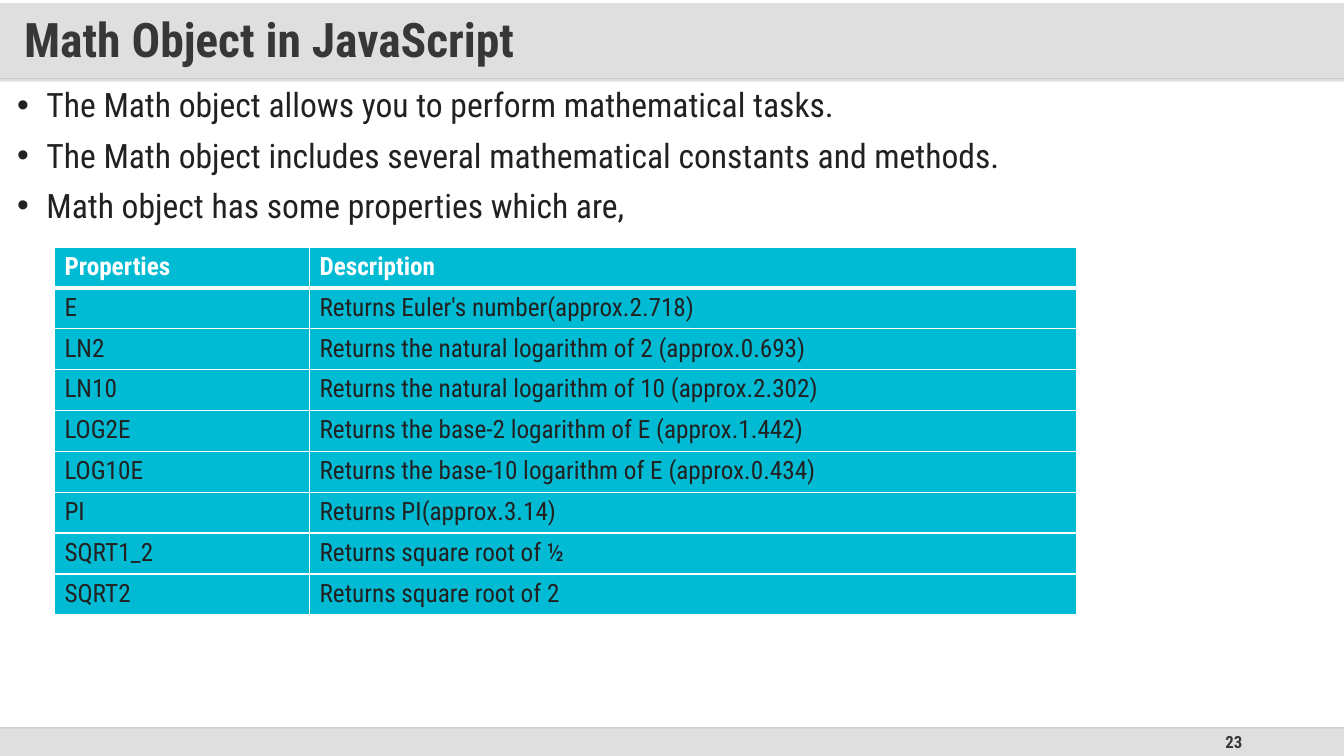
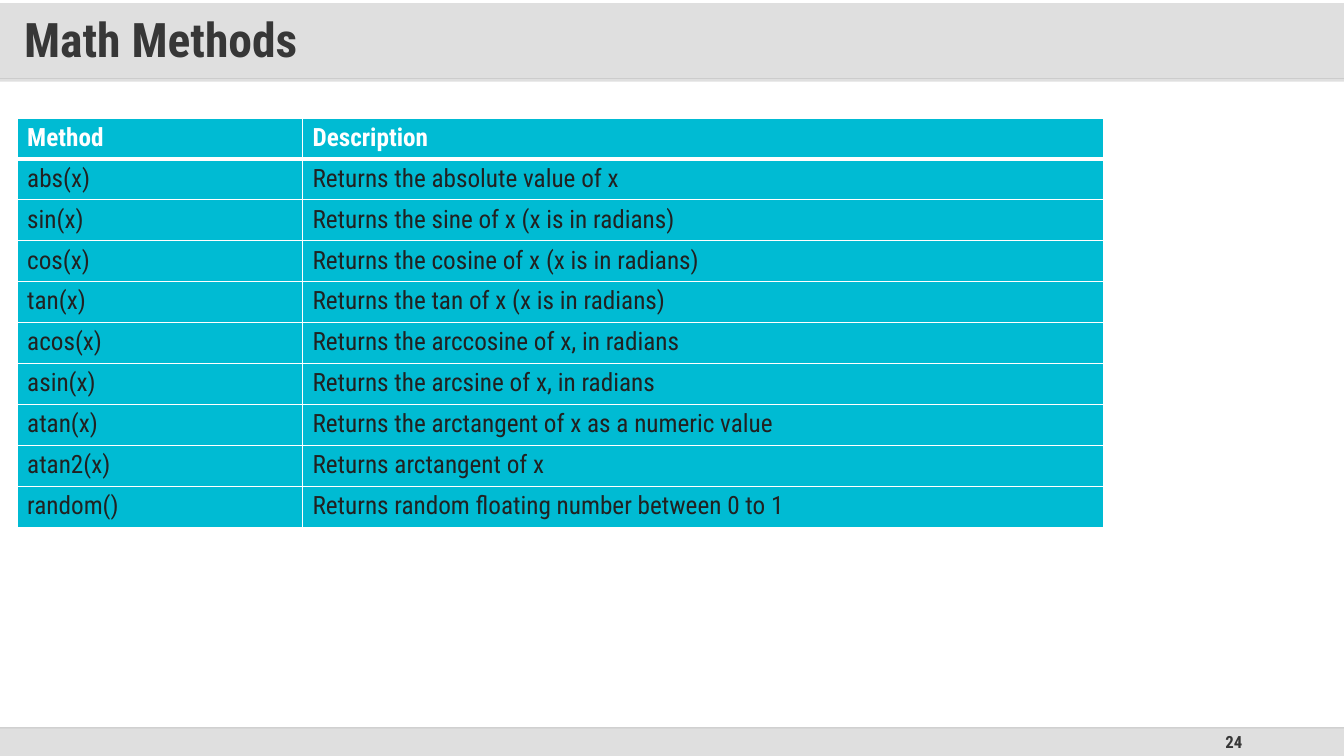
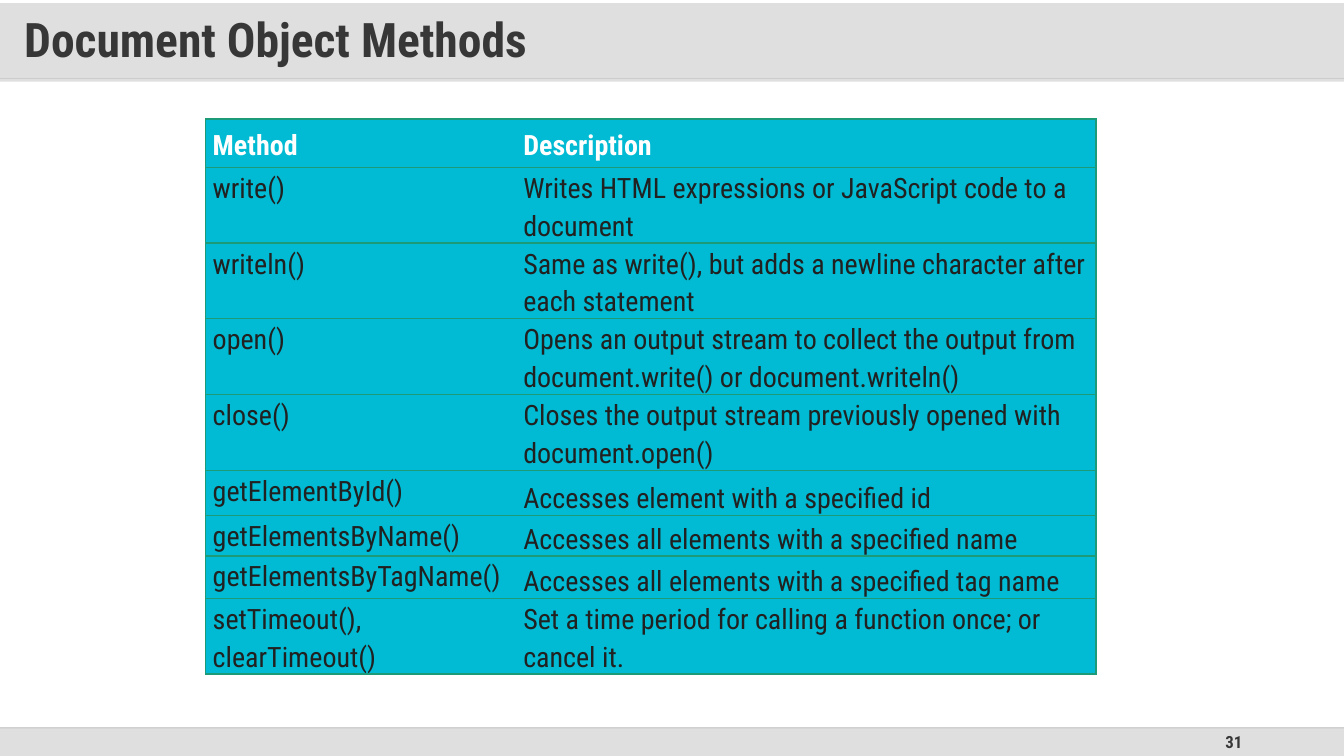
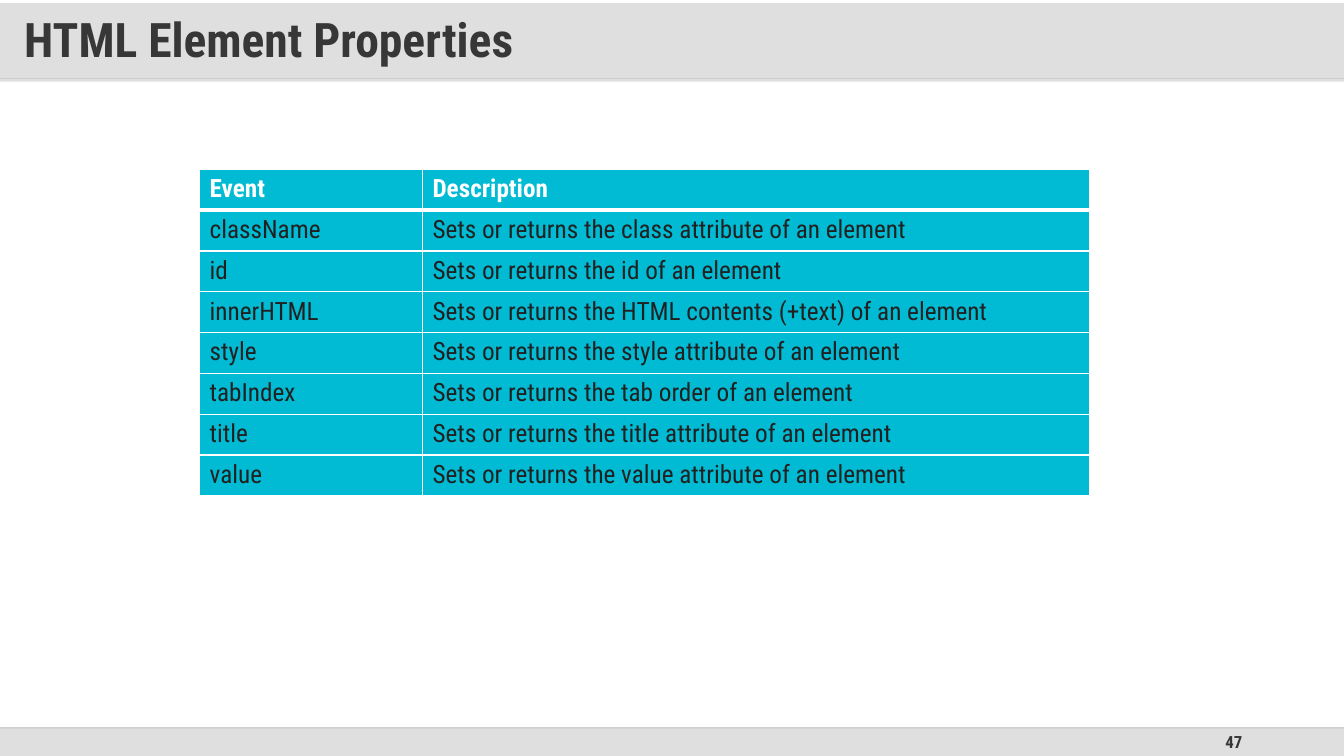
from lxml.etree import SubElement
from pptx import Presentation
from pptx.dml.color import RGBColor
from pptx.enum.shapes import MSO_CONNECTOR, MSO_SHAPE
from pptx.enum.text import MSO_ANCHOR, MSO_AUTO_SIZE, PP_ALIGN
from pptx.oxml.ns import qn
from pptx.util import Pt

PX = 9144  # 100 px to the inch
WIDTH, HEIGHT = 1333, 750
FONT = "Roboto Condensed"
WHITE, INK, HEADING = "FFFFFF", "212121", "373737"
CYAN, GREEN = "00BBD3", "1D9A78"
BAND, TITLE_BAND = "DFDFDF", "C0C0C0"
TITLE_RULE, FOOTER_RULE = "D9D9D9", "BFBFBF"
TITLE_ONLY, TITLE_AND_BODY = 5, 1

BULLETS = """The Math object allows you to perform mathematical tasks.
The Math object includes several mathematical constants and methods.
Math object has some properties which are,"""

MATH_PROPERTIES = [
    ("Properties", "Description"),
    ("E", "Returns Euler's number(approx.2.718)"),
    ("LN2", "Returns the natural logarithm of 2 (approx.0.693)"),
    ("LN10", "Returns the natural logarithm of 10 (approx.2.302)"),
    ("LOG2E", "Returns the base‐2 logarithm of E (approx.1.442)"),
    ("LOG10E", "Returns the base‐10 logarithm of E (approx.0.434)"),
    ("PI", "Returns PI(approx.3.14)"),
    ("SQRT1_2", "Returns square root of ½"),
    ("SQRT2", "Returns square root of 2"),
]
MATH_METHODS = [
    ("Method", "Description"),
    ("abs(x)", "Returns the absolute value of x"),
    ("sin(x)", "Returns the sine of x (x is in radians)"),
    ("cos(x)", "Returns the cosine of x (x is in radians)"),
    ("tan(x)", "Returns the tan of x (x is in radians)"),
    ("acos(x)", "Returns the arccosine of x, in radians"),
    ("asin(x)", "Returns the arcsine of x, in radians"),
    ("atan(x)", "Returns the arctangent of x as a numeric value"),
    ("atan2(x)", "Returns arctangent of x"),
    ("random()", "Returns random floating number between 0 to 1"),
]
DOCUMENT_METHODS = [
    ("Method", "Description"),
    ("write()", "Writes HTML expressions or JavaScript code to a document"),
    ("writeln()", "Same as write(), but adds a newline character after each statement"),
    ("open()", "Opens an output stream to collect the output from "
               "document.write() or document.writeln()"),
    ("close()", "Closes the output stream previously opened with document.open()"),
    ("getElementById()", "Accesses element with a specified id"),
    ("getElementsByName()", "Accesses all elements with a specified name"),
    ("getElementsByTagName()", "Accesses all elements with a specified tag name"),
    ("setTimeout(),\nclearTimeout()",
     "Set a time period for calling a function once; or cancel it."),
]
DOCUMENT_ROW_HEIGHTS = [48, 75, 75, 75, 75, 45, 40, 42, 75]
ELEMENT_PROPERTIES = [
    ("Event", "Description"),
    ("className", "Sets or returns the class attribute of an element"),
    ("id", "Sets or returns the id of an element"),
    ("innerHTML", "Sets or returns the HTML contents (+text) of an element"),
    ("style", "Sets or returns the style attribute of an element"),
    ("tabIndex", "Sets or returns the tab order of an element"),
    ("title", "Sets or returns the title attribute of an element"),
    ("value", "Sets or returns the value attribute of an element"),
]


def px(*lengths):
    return [length * PX for length in lengths]


def color(hex_value):
    return RGBColor.from_string(hex_value)


def paint(fill, hex_value):
    fill.solid()
    fill.fore_color.rgb = color(hex_value)


def set_opacity(shape, percent):
    """Make the shape's fill, or a connector's line, partly transparent."""
    rgb = shape.element.spPr.find(".//" + qn("a:srgbClr"))
    SubElement(rgb, qn("a:alpha"), val=str(percent * 1000))


def write_text(frame, text, size=18, hex_value=INK, bold=False,
               align=PP_ALIGN.LEFT, line_spacing=1.0, space_before=0):
    """Fill a text frame, one paragraph for each line of text."""
    frame.text = text
    for paragraph in frame.paragraphs:
        paragraph.alignment = align
        paragraph.line_spacing = line_spacing
        paragraph.space_before = Pt(space_before)
        for run in paragraph.runs:
            run.font.name = FONT
            run.font.size = Pt(size)
            run.font.bold = bold
            run.font.color.rgb = color(hex_value)


def place(shape, box):
    shape.left, shape.top, shape.width, shape.height = px(*box)


def add_rule(slide, top, hex_value):
    """Draw a line across the whole slide."""
    rule = slide.shapes.add_connector(MSO_CONNECTOR.STRAIGHT, *px(0, top, WIDTH, top))
    rule.line.color.rgb = color(hex_value)
    rule.line.width = Pt(1)
    SubElement(rule.element.spPr, qn("a:effectLst"))
    return rule


def add_footer(slide, box, number):
    left, top, width, height = box
    band = slide.shapes.add_shape(MSO_SHAPE.ROUNDED_RECTANGLE, *px(*box))
    band.adjustments[0] = 0
    band.shadow.inherit = False
    paint(band.fill, BAND)
    band.line.fill.background()

    page = slide.shapes.add_textbox(*px(left + width - 391, top, 300, height))
    page.text_frame.word_wrap = True
    page.text_frame.vertical_anchor = MSO_ANCHOR.MIDDLE
    write_text(page.text_frame, str(number), size=12, hex_value=HEADING,
               bold=True, align=PP_ALIGN.RIGHT)
    set_opacity(add_rule(slide, top, FOOTER_RULE), 70)


def add_title(slide, box, text):
    left, top, width, height = box
    add_rule(slide, top + height - 3, TITLE_RULE)
    title = slide.shapes.title
    place(title, box)
    paint(title.fill, TITLE_BAND)
    set_opacity(title, 50)
    frame = title.text_frame
    frame.auto_size = MSO_AUTO_SIZE.NONE
    frame.vertical_anchor = MSO_ANCHOR.MIDDLE
    frame.margin_left, frame.margin_right = px(24, 24)
    frame.margin_top, frame.margin_bottom = px(12, 12)
    write_text(frame, text, size=34, hex_value=HEADING, bold=True, line_spacing=0.9)
    # The translucent band lies over the rule
    slide.shapes.element.append(title.element)


def add_slide(presentation, title, number, layout=TITLE_ONLY):
    """Add a slide with the shared footer and title band."""
    slide = presentation.slides.add_slide(presentation.slide_layouts[layout])
    add_footer(slide, (0, 722, WIDTH, 28), number)
    add_title(slide, (0, 3, WIDTH, 78), title)
    return slide


def add_bullets(slide, box, text):
    body = slide.placeholders[1]
    place(body, box)
    body.text_frame.auto_size = MSO_AUTO_SIZE.NONE
    write_text(body.text_frame, text, size=24, align=PP_ALIGN.JUSTIFY,
               line_spacing=0.9, space_before=10)
    for paragraph in body.text_frame.paragraphs:
        properties = paragraph._p.get_or_add_pPr()
        properties.set("marL", str(29 * PX))
        properties.set("indent", str(-29 * PX))
        bullet_color = SubElement(properties, qn("a:buClr"))
        SubElement(bullet_color, qn("a:srgbClr"), val=INK)
        SubElement(properties, qn("a:buFont"), typeface="Arial")
        SubElement(properties, qn("a:buChar"), char="•")


def set_borders(cell, hex_value, **widths):
    """Draw the sides L, R, T and B in points; a width of 0 hides a side."""
    properties = cell._tc.get_or_add_tcPr()
    for side in "LRTB":
        if side not in widths:
            continue
        line = SubElement(properties, qn("a:ln" + side), w=str(Pt(widths[side])))
        if widths[side]:
            fill = SubElement(line, qn("a:solidFill"))
            SubElement(fill, qn("a:srgbClr"), val=hex_value)
        else:
            SubElement(line, qn("a:noFill"))


def format_grid_cell(cell, row, column):
    """White grid with a heavy line under the header."""
    set_borders(cell, WHITE, L=1, R=1, T=3 if row == 1 else 1, B=1 if row else 3)


def format_ruled_cell(cell, row, column):
    """Green frame and row rules, without a line between the columns."""
    set_borders(cell, GREEN, L=1 - column, R=column, T=1, B=1)
    cell.margin_left, cell.margin_right = px(7, 7)
    cell.margin_top = cell.margin_bottom = 0
    if row == 0:
        cell.vertical_anchor = MSO_ANCHOR.MIDDLE
    elif column == 1:
        cell.vertical_anchor = MSO_ANCHOR.BOTTOM


def add_reference_table(slide, box, first_width, rows, row_heights=(),
                        format_cell=format_grid_cell, **text_format):
    """Add a two-column table; without row heights all rows are equal."""
    table = slide.shapes.add_table(len(rows), 2, *px(*box)).table
    table.horz_banding = False
    widths = px(first_width, box[2] - first_width)
    for column, width in zip(table.columns, widths):
        column.width = width
    for table_row, height in zip(table.rows, px(*row_heights)):
        table_row.height = height
    for row, texts in enumerate(rows):
        for column, text in enumerate(texts):
            cell = table.cell(row, column)
            format_cell(cell, row, column)
            paint(cell.fill, CYAN)
            write_text(cell.text_frame, text, bold=row == 0,
                       hex_value=INK if row else WHITE, **text_format)


def main():
    presentation = Presentation()
    presentation.slide_width, presentation.slide_height = px(WIDTH, HEIGHT)

    # Math object
    slide = add_slide(presentation, "Math Object in JavaScript", 23, TITLE_AND_BODY)
    add_bullets(slide, (7, 83, 1305, 611), BULLETS)
    add_reference_table(slide, (54, 245, 1014, 365), 253, MATH_PROPERTIES)

    # Math methods
    slide = add_slide(presentation, "Math Methods", 24)
    add_reference_table(slide, (17, 117, 1078, 406), 283, MATH_METHODS)

    # Document methods
    slide = add_slide(presentation, "Document Object Methods", 31)
    add_reference_table(slide, (204, 118, 883, sum(DOCUMENT_ROW_HEIGHTS)), 308,
                        DOCUMENT_METHODS, DOCUMENT_ROW_HEIGHTS, format_ruled_cell,
                        size=20, line_spacing=1.15)

    # Element properties
    slide = add_slide(presentation, "HTML Element Properties", 47)
    add_reference_table(slide, (198, 168, 883, 324), 221, ELEMENT_PROPERTIES)

    presentation.save("out.pptx")


if __name__ == "__main__":
    main()
